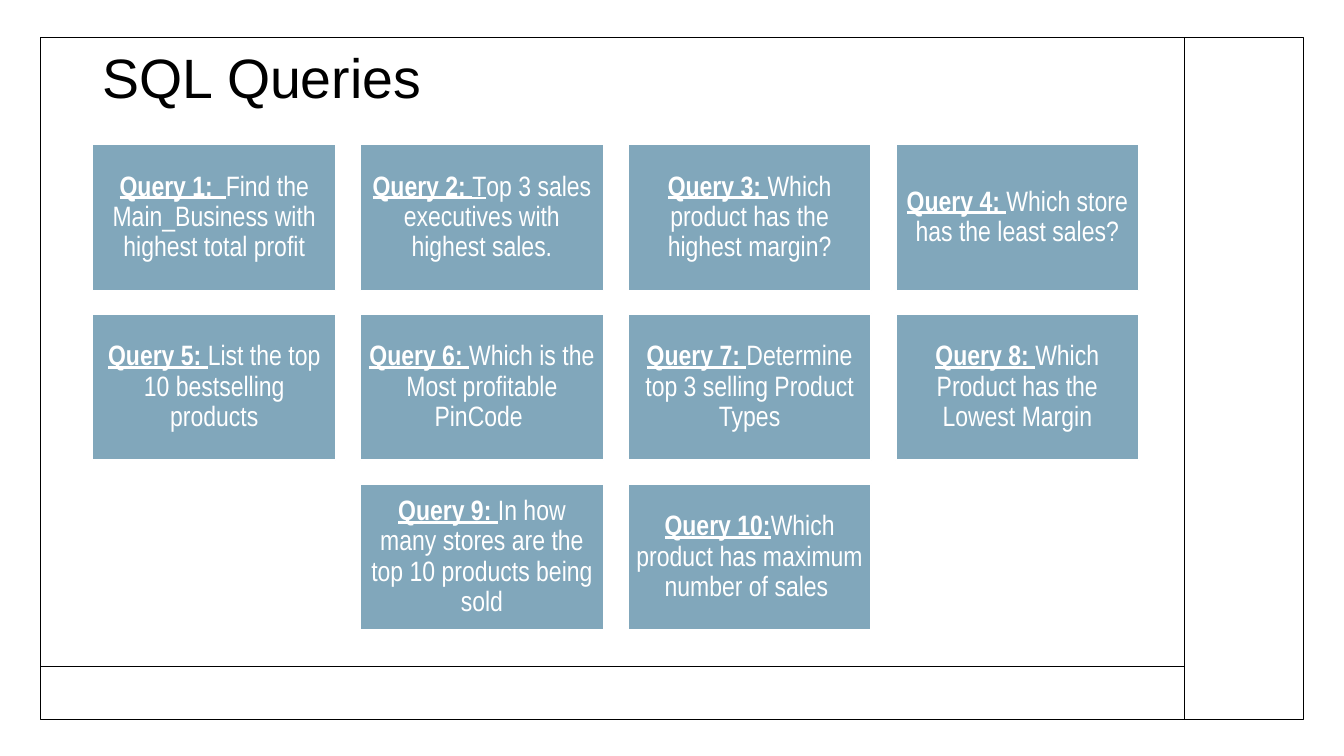
"""Build the slide that lists ten SQL queries as a grid of cards."""
from dataclasses import dataclass

from lxml.etree import SubElement
from pptx import Presentation
from pptx.dml.color import RGBColor
from pptx.enum.shapes import MSO_CONNECTOR, MSO_SHAPE
from pptx.enum.text import MSO_ANCHOR, MSO_AUTO_SIZE, PP_ALIGN
from pptx.oxml.ns import qn
from pptx.slide import Slide
from pptx.util import Inches, Pt

BLACK = RGBColor(0x00, 0x00, 0x00)
WHITE = RGBColor(0xFF, 0xFF, 0xFF)
BLUE = RGBColor(0x81, 0xA7, 0xBB)

LEFT, TOP = 0.92, 1.43
WIDE, HIGH = 2.41, 1.45
STEP_X, STEP_Y = 2.655, 1.685
COLS = 4


@dataclass
class Query:
    label: str
    text: str
    lead: str = ""


@dataclass
class Rule:
    x1: float
    y1: float
    x2: float
    y2: float


QUERIES = [
    Query("Query 1:  ", "Find the Main_Business with highest total profit"),
    Query("Query 2: ", "op 3 sales executives with highest sales.", "T"),
    Query("Query 3: ", "Which product has the highest margin?"),
    Query("Query 4: ", "Which store has the least sales?"),
    Query("Query 5: ", "List the top 10 bestselling products"),
    Query("Query 6: ", "Which is the Most profitable PinCode "),
    Query("Query 7: ", "Determine top 3 selling Product Types"),
    Query("Query 8: ", "Which Product has the Lowest Margin"),
    Query("Query 9: ", "In how many stores are the top 10 products being sold"),
    Query("Query 10:", "Which product has maximum number of sales "),
]
RULES = [Rule(11.75, 0.37, 11.75, 7.13), Rule(0.41, 6.61, 11.75, 6.61)]


def add_frame(slide: Slide) -> None:
    frame = slide.shapes.add_shape(
        MSO_SHAPE.RECTANGLE, Inches(0.4), Inches(0.37), Inches(12.53), Inches(6.77))
    frame.shadow.inherit = False
    frame.fill.background()
    frame.line.color.rgb = BLACK
    frame.line.width = Pt(1)


def add_rule(slide: Slide, rule: Rule) -> None:
    line = slide.shapes.add_connector(
        MSO_CONNECTOR.STRAIGHT, Inches(rule.x1), Inches(rule.y1),
        Inches(rule.x2), Inches(rule.y2))
    line.line.color.rgb = BLACK
    line.line.width = Pt(1)
    SubElement(line._element.spPr, qn("a:effectLst"))


def add_title(slide: Slide) -> None:
    title = slide.shapes.title
    title.left, title.top = Inches(LEFT), Inches(0.49)
    title.width, title.height = Inches(10.38), Inches(0.61)
    frame = title.text_frame
    frame.text = "SQL Queries"
    frame.auto_size = MSO_AUTO_SIZE.NONE
    frame.vertical_anchor = MSO_ANCHOR.MIDDLE
    para = frame.paragraphs[0]
    para.alignment = PP_ALIGN.LEFT
    para.line_spacing = 0.9
    para.font.name = "Arial"
    para.font.size = Pt(39.6)
    para.font.color.rgb = BLACK


def add_card(slide: Slide, query: Query, left: float, top: float) -> None:
    card = slide.shapes.add_shape(
        MSO_SHAPE.RECTANGLE, Inches(left), Inches(top), Inches(WIDE), Inches(HIGH))
    card.shadow.inherit = False
    card.fill.solid()
    card.fill.fore_color.rgb = BLUE
    card.line.color.rgb = WHITE
    card.line.width = Pt(1)
    frame = card.text_frame
    frame.word_wrap = True
    frame.vertical_anchor = MSO_ANCHOR.MIDDLE
    frame.margin_left = frame.margin_right = Inches(0.08)
    frame.margin_top = frame.margin_bottom = Inches(0.08)
    para = frame.paragraphs[0]
    para.alignment = PP_ALIGN.CENTER
    para.line_spacing = 0.9
    para.font.name = "Arial Narrow"
    para.font.size = Pt(20)
    para.font.color.rgb = WHITE
    parts = [(query.label, True, True), (query.lead, False, True),
             (query.text, False, False)]
    for text, bold, under in parts:
        if text:
            run = para.add_run()
            run.text = text
            run.font.bold = bold
            run.font.underline = under


def main() -> None:
    deck = Presentation()
    deck.slide_width, deck.slide_height = Inches(13.33), Inches(7.5)
    slide = deck.slides.add_slide(deck.slide_layouts[5])
    add_frame(slide)
    for rule in RULES:
        add_rule(slide, rule)
    add_title(slide)
    for start in range(0, len(QUERIES), COLS):
        row = QUERIES[start:start + COLS]
        shift = (COLS - len(row)) / 2
        top = TOP + start // COLS * STEP_Y
        for col, query in enumerate(row):
            add_card(slide, query, LEFT + (col + shift) * STEP_X, top)
    deck.save("out.pptx")


if __name__ == "__main__":
    main()
